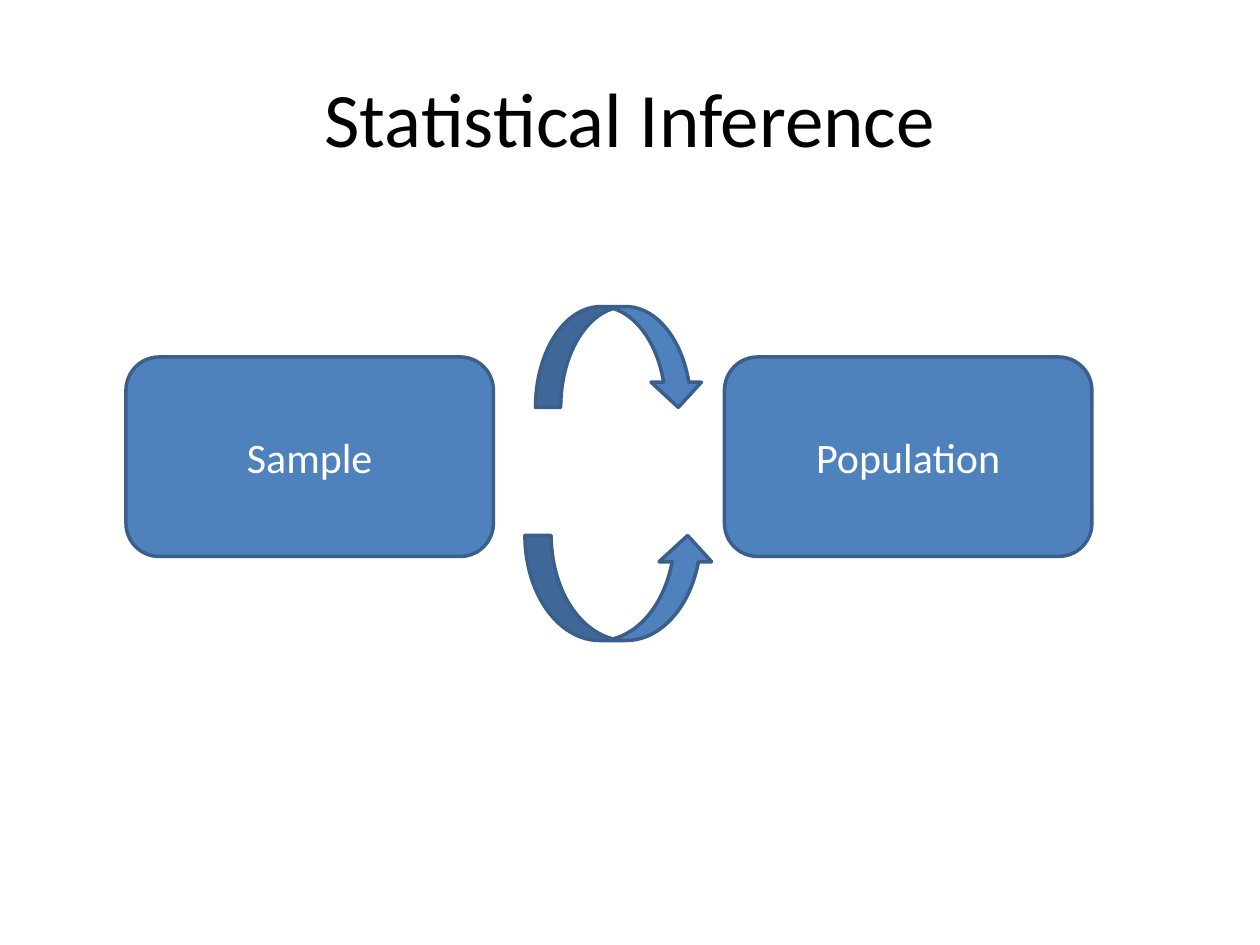
from pptx import Presentation
from pptx.dml.color import RGBColor
from pptx.enum.shapes import MSO_SHAPE
from pptx.enum.text import MSO_ANCHOR, PP_ALIGN
from pptx.util import Inches, Pt

CELL = Inches(1) / 12  # grid of 120 columns by 90 rows
BLUE, OUTLINE = "4F81BD", "3A5F8C"


def color(hex_code):
    return RGBColor.from_string(hex_code)


def cells(*counts):
    return [round(count * CELL) for count in counts]


def write(shape, text, size=24, ink="FFFFFF", font="Calibri"):
    frame = shape.text_frame
    frame.word_wrap = True
    frame.vertical_anchor = MSO_ANCHOR.MIDDLE
    paragraph = frame.paragraphs[0]
    paragraph.alignment = PP_ALIGN.CENTER
    run = paragraph.add_run()
    run.text = text
    run.font.size = Pt(size)
    run.font.name = font
    run.font.color.rgb = color(ink)


def add_block(slide, kind, column, row, width, height):
    block = slide.shapes.add_shape(kind, *cells(column, row, width, height))
    block.shadow.inherit = False
    block.fill.solid()
    block.fill.fore_color.rgb = color(BLUE)
    block.line.color.rgb = color(OUTLINE)
    block.line.width = Pt(2)
    return block


def add_title(slide, column, row, width, height):
    title = slide.shapes.add_textbox(*cells(column, row, width, height))
    write(title, "Statistical Inference", size=44, ink="000000")


def add_inference_cycle(slide, column, row, width, height):
    # Sample at the left edge, population at the right edge
    box_width, box_height = 35, 19
    box_row = row + 4.8
    for label, box_column in (("Sample", column),
                              ("Population", column + width - box_width)):
        box = add_block(slide, MSO_SHAPE.ROUNDED_RECTANGLE,
                        box_column, box_row, box_width, box_height)
        write(box, label)

    # Arrows share a centre line; one at the bottom, one at the top
    center = column + width / 2 + 1
    for kind, arrow_width, arrow_height, arrow_row in (
            (MSO_SHAPE.CURVED_UP_ARROW, 18, 10, row + height - 10),
            (MSO_SHAPE.CURVED_DOWN_ARROW, 16, 9.6, row)):
        add_block(slide, kind, center - arrow_width / 2, arrow_row,
                  arrow_width, arrow_height)


deck = Presentation()
deck.slide_width, deck.slide_height = cells(120, 90)
inference_slide = deck.slides.add_slide(deck.slide_layouts[6])
add_title(inference_slide, 6, 3.6, 108, 15)
add_inference_cycle(inference_slide, 12, 29.2, 92, 31.8)
deck.save("out.pptx")
